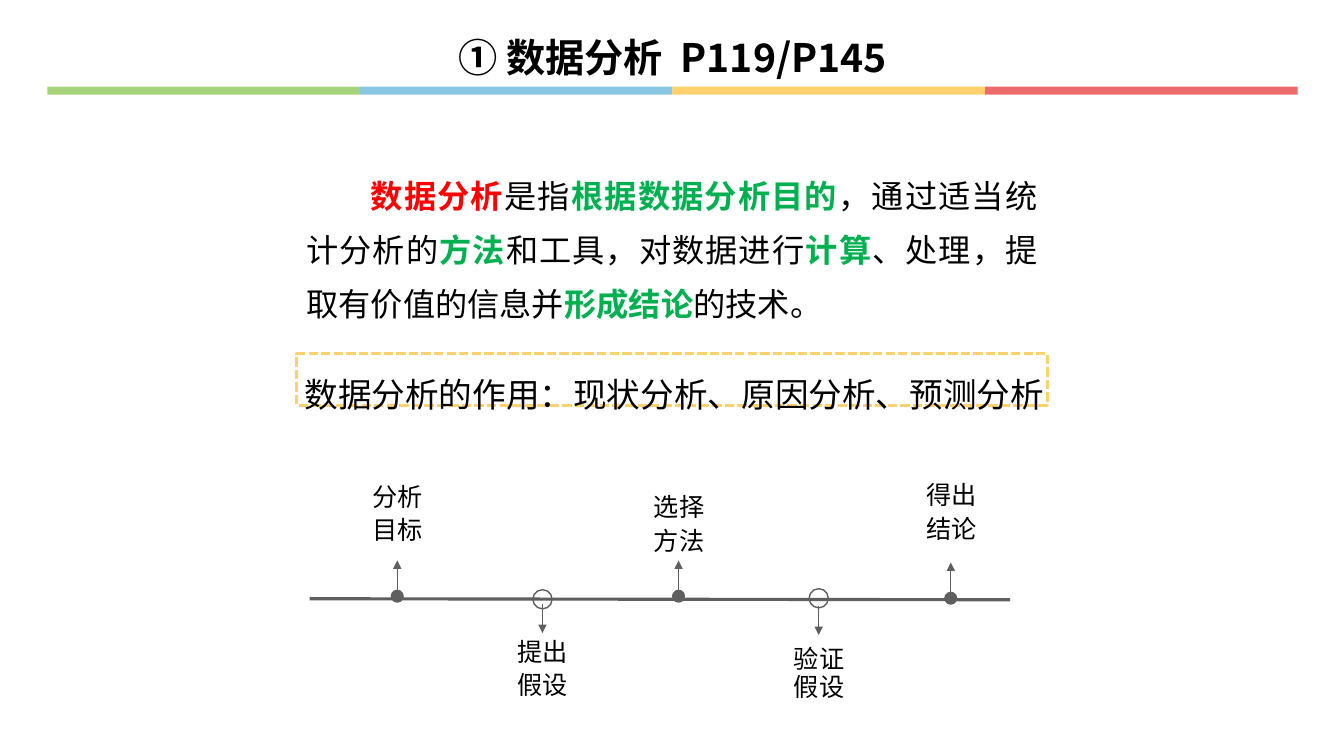
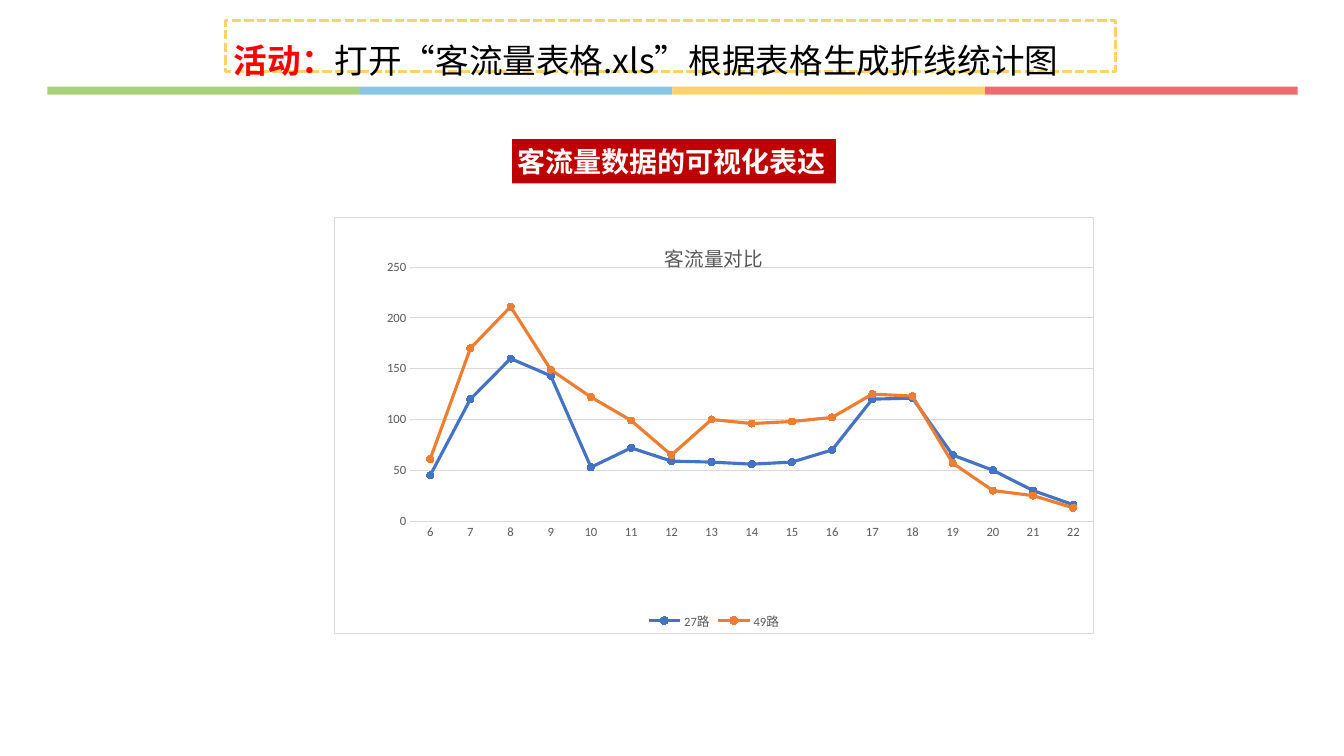
from lxml.etree import SubElement
from pptx import Presentation
from pptx.chart.data import CategoryChartData
from pptx.dml.color import RGBColor
from pptx.enum.chart import XL_CHART_TYPE, XL_LEGEND_POSITION, XL_MARKER_STYLE, XL_TICK_MARK
from pptx.enum.dml import MSO_LINE
from pptx.enum.shapes import MSO_CONNECTOR, MSO_SHAPE
from pptx.enum.text import MSO_ANCHOR, MSO_AUTO_SIZE, PP_ALIGN
from pptx.oxml import parse_xml
from pptx.oxml.ns import nsdecls, qn
from pptx.util import Inches, Pt

COLORS = {
    "green": "A8D37A", "sky": "87C7E3", "yellow": "FED16C", "coral": "ED6B6D",
    "gray": "5F5F5F", "black": "000000", "white": "FFFFFF", "red": "FF0000",
    "emphasis": "00B050", "crimson": "C00000", "chart_text": "595959",
    "grid": "D9D9D9", "blue": "4472C4", "orange": "ED7D31",
}
FONT = "Noto Sans CJK SC"
CHART_FONT = "Calibri"


def rgb(name):
    return RGBColor.from_string(COLORS[name])


def set_attributes(target, values):
    for name, value in values.items():
        setattr(target, name, value)


class Deck:
    """Holds the shared style and the current slide."""

    def __init__(self):
        self.presentation = Presentation()
        self.presentation.slide_width = Inches(13.33)
        self.presentation.slide_height = Inches(7.5)
        self.slide = None

    def new_slide(self):
        self.slide = self.presentation.slides.add_slide(self.presentation.slide_layouts[5])
        for index, color in enumerate(["green", "sky", "yellow", "coral"]):
            self.shape(MSO_SHAPE.RECTANGLE, 0.47 + 3.1 * index, 0.86, 3.1, 0.08, color)

    def title(self, left, top, width, height):
        shape = self.slide.shapes.title
        set_attributes(shape, {"left": Inches(left), "top": Inches(top),
                               "width": Inches(width), "height": Inches(height)})
        return shape

    def shape(self, kind, left, top, width, height, fill=None, line=None, weight=1):
        shape = self.slide.shapes.add_shape(
            kind, Inches(left), Inches(top), Inches(width), Inches(height))
        shape.shadow.inherit = False
        if fill:
            shape.fill.solid()
            shape.fill.fore_color.rgb = rgb(fill)
        else:
            shape.fill.background()
        if line:
            shape.line.color.rgb = rgb(line)
            shape.line.width = Pt(weight)
        else:
            shape.line.fill.background()
        return shape

    def text_box(self, left, top, width, height):
        return self.slide.shapes.add_textbox(
            Inches(left), Inches(top), Inches(width), Inches(height))

    def set_text(self, shape, paragraphs, size, align=PP_ALIGN.LEFT, spacing=1.0, after=0,
                 inset=(0.1, 0.05), anchor=MSO_ANCHOR.TOP, wrap=True, margin=0, indent=0):
        """Each paragraph is a list of (text, color, bold) runs."""
        frame = shape.text_frame
        across, down = (Inches(value) for value in inset)
        set_attributes(frame, {
            "word_wrap": wrap, "auto_size": MSO_AUTO_SIZE.NONE, "vertical_anchor": anchor,
            "margin_left": across, "margin_right": across,
            "margin_top": down, "margin_bottom": down})
        for index, runs in enumerate(paragraphs):
            paragraph = frame.add_paragraph() if index else frame.paragraphs[0]
            set_attributes(paragraph, {"alignment": align, "line_spacing": spacing,
                                       "space_before": Pt(0), "space_after": Pt(after)})
            properties = paragraph._p.get_or_add_pPr()
            properties.set("marL", str(Inches(margin)))
            properties.set("indent", str(Inches(indent)))
            for text, color, bold in runs:
                run = paragraph.add_run()
                run.text = text
                set_attributes(run.font, {"size": Pt(size), "bold": bold, "name": FONT})
                run.font.color.rgb = rgb(color)
                SubElement(run._r.get_or_add_rPr(), qn("a:ea")).set("typeface", FONT)

    def dashed_banner(self, shape, runs):
        shape.line.color.rgb = rgb("yellow")
        shape.line.width = Pt(2.25)
        shape.line.dash_style = MSO_LINE.SQUARE_DOT
        shape.line._ln.find(qn("a:prstDash")).set("val", "sysDash")
        self.set_text(shape, [runs], 24, spacing=1.5, inset=(0, 0), margin=0.08)

    def line(self, start, end, weight, arrow=False):
        connector = self.slide.shapes.add_connector(
            MSO_CONNECTOR.STRAIGHT, *(Inches(value) for value in (*start, *end)))
        connector.line.color.rgb = rgb("gray")
        connector.line.width = Pt(weight)
        if arrow:
            SubElement(connector.line._ln, qn("a:tailEnd")).set("type", "triangle")
        SubElement(connector._element.spPr, qn("a:effectLst"))

    def stage(self, words, center, node, arrow, label, anchor, spacing):
        """A timeline node, its arrow and its two-line label."""
        top, diameter, hollow = node
        self.shape(MSO_SHAPE.OVAL, center - diameter / 2, top, diameter, diameter,
                   *(("white", "gray") if hollow else ("gray",)))
        self.line((center, arrow[0]), (center, arrow[1]), 0.5, arrow=True)
        box = self.text_box(center - 0.58, label[0], 1.17, label[1])
        self.set_text(box, [[(word, "black", False)] for word in words], 18,
                      PP_ALIGN.CENTER, spacing, anchor=anchor)

    def chart_font(self, font, size):
        set_attributes(font, {"size": Pt(size), "name": CHART_FONT, "bold": False})
        font.color.rgb = rgb("chart_text")

    def line_chart(self, left, top, width, height, title, categories, series):
        data = CategoryChartData()
        data.categories = categories
        for name, _, values in series:
            data.add_series(name, values)
        chart = self.slide.shapes.add_chart(
            XL_CHART_TYPE.LINE_MARKERS, Inches(left), Inches(top),
            Inches(width), Inches(height), data).chart
        self.chart_font(chart.font, 10)

        # Title and legend
        chart.has_title = True
        chart.chart_title.text_frame.text = title
        self.chart_font(chart.chart_title.text_frame.paragraphs[0].runs[0].font, 14)
        chart.has_legend = True
        set_attributes(chart.legend, {"position": XL_LEGEND_POSITION.BOTTOM,
                                      "include_in_layout": False})
        self.chart_font(chart.legend.font, 9)

        # Axes
        for axis in (chart.category_axis, chart.value_axis):
            set_attributes(axis, {"major_tick_mark": XL_TICK_MARK.NONE,
                                  "minor_tick_mark": XL_TICK_MARK.NONE})
            self.chart_font(axis.tick_labels.font, 9)
        chart.value_axis.has_major_gridlines = True
        chart.value_axis.format.line.fill.background()
        for item in (chart.category_axis, chart.value_axis.major_gridlines):
            item.format.line.color.rgb = rgb("grid")
            item.format.line.width = Pt(0.75)

        # Series
        plot = chart.plots[0]
        plot.vary_by_categories = False
        for line, (_, color, _) in zip(plot.series, series):
            line.smooth = False
            line.format.line.color.rgb = rgb(color)
            line.format.line.width = Pt(2.25)
            set_attributes(line.marker, {"style": XL_MARKER_STYLE.CIRCLE, "size": 5})
            line.marker.format.fill.solid()
            line.marker.format.fill.fore_color.rgb = rgb(color)
            line.marker.format.line.color.rgb = rgb(color)

        # Frame and manual positions
        chart_space = chart._chartSpace
        chart_space.find(qn("c:chart")).addnext(parse_xml(
            f'<c:spPr {nsdecls("c", "a")}><a:solidFill><a:srgbClr val="{COLORS["white"]}"/>'
            f'</a:solidFill><a:ln w="{Pt(0.75)}"><a:solidFill>'
            f'<a:srgbClr val="{COLORS["grid"]}"/></a:solidFill></a:ln></c:spPr>'))
        self.place(chart_space.chart.plotArea, {
            "layoutTarget": "inner", "xMode": "edge", "yMode": "edge",
            "x": 0.1, "y": 0.12, "w": 0.9, "h": 0.61})
        self.place(chart.chart_title._element, {
            "xMode": "edge", "yMode": "edge", "x": 0.43, "y": 0.05})

    def place(self, element, values):
        for layout in element.findall(qn("c:layout")):
            element.remove(layout)
        settings = "".join(f'<c:{name} val="{value}"/>' for name, value in values.items())
        layout = parse_xml(f'<c:layout {nsdecls("c")}><c:manualLayout>{settings}'
                           '</c:manualLayout></c:layout>')
        text = element.find(qn("c:tx"))
        if text is None:
            element.insert(0, layout)
        else:
            text.addnext(layout)


deck = Deck()

# Slide 1: what data analysis is
deck.new_slide()
deck.set_text(deck.title(4.37, 0.33, 4.6, 0.47),
              [[("① 数据分析  P119/P145", "black", True)]], 28, PP_ALIGN.CENTER, inset=(0, 0))

definition = [
    ("数据分析", "red", True), ("是指", "black", False),
    ("根据数据分析目的", "emphasis", True), ("，通过适当统计分析的", "black", False),
    ("方法", "emphasis", True), ("和工具，对数据进行", "black", False),
    ("计算", "emphasis", True), ("、处理，提取有价值的信息并", "black", False),
    ("形成结论", "emphasis", True), ("的技术。", "black", False),
]
deck.set_text(deck.text_box(2.94, 1.55, 7.45, 1.65), [definition], 23,
              PP_ALIGN.JUSTIFY, 1.4, after=10, indent=0.64)
deck.dashed_banner(deck.shape(MSO_SHAPE.RECTANGLE, 2.94, 3.51, 7.45, 0.51),
                   [("数据分析的作用：现状分析、原因分析、预测分析", "black", False)])

# Timeline: words, center, node (top, diameter, hollow), arrow, label, anchor, spacing
TOP, BOTTOM = MSO_ANCHOR.TOP, MSO_ANCHOR.BOTTOM
stages = [
    (["分析", "目标"], 3.94, (5.85, 0.13, False), (5.85, 5.56), (4.91, 0.54), BOTTOM, 1.1),
    (["提出", "假设"], 5.38, (5.85, 0.19, True), (5.99, 6.28), (6.23, 0.38), TOP, 1.1),
    (["选择", "方法"], 6.73, (5.85, 0.13, False), (5.85, 5.56), (4.8, 0.76), TOP, 1.1),
    (["验证", "假设"], 8.12, (5.84, 0.19, True), (6.01, 6.3), (6.37, 0.54), TOP, 0.9),
    (["得出", "结论"], 9.43, (5.87, 0.13, False), (5.87, 5.58), (4.68, 0.76), TOP, 1.1),
]
for stage in stages:
    deck.stage(*stage)
deck.line((3.07, 5.94), (10.02, 5.95), 2.25)

# Slide 2: passenger flow chart
deck.new_slide()
deck.dashed_banner(deck.title(2.24, 0.2, 8.82, 0.51), [
    ("活动：", "red", True),
    ("打开“客流量表格.xls”根据表格生成折线统计图", "black", False)])
deck.set_text(deck.shape(MSO_SHAPE.RECTANGLE, 5.08, 1.38, 3.21, 0.44, "crimson"),
              [[("客流量数据的可视化表达", "white", True)]], 20, inset=(0.05, 0.05), wrap=False)
deck.line_chart(3.31, 2.15, 7.54, 4.14, "客流量对比", [str(hour) for hour in range(6, 23)], [
    ("27路", "blue",
     [45, 120, 160, 143, 53, 72, 59, 58, 56, 58, 70, 120, 121, 65, 50, 30, 16]),
    ("49路", "orange",
     [61, 170, 211, 149, 122, 99, 65, 100, 96, 98, 102, 125, 123, 57, 30, 25, 13]),
])

deck.presentation.save("out.pptx")
